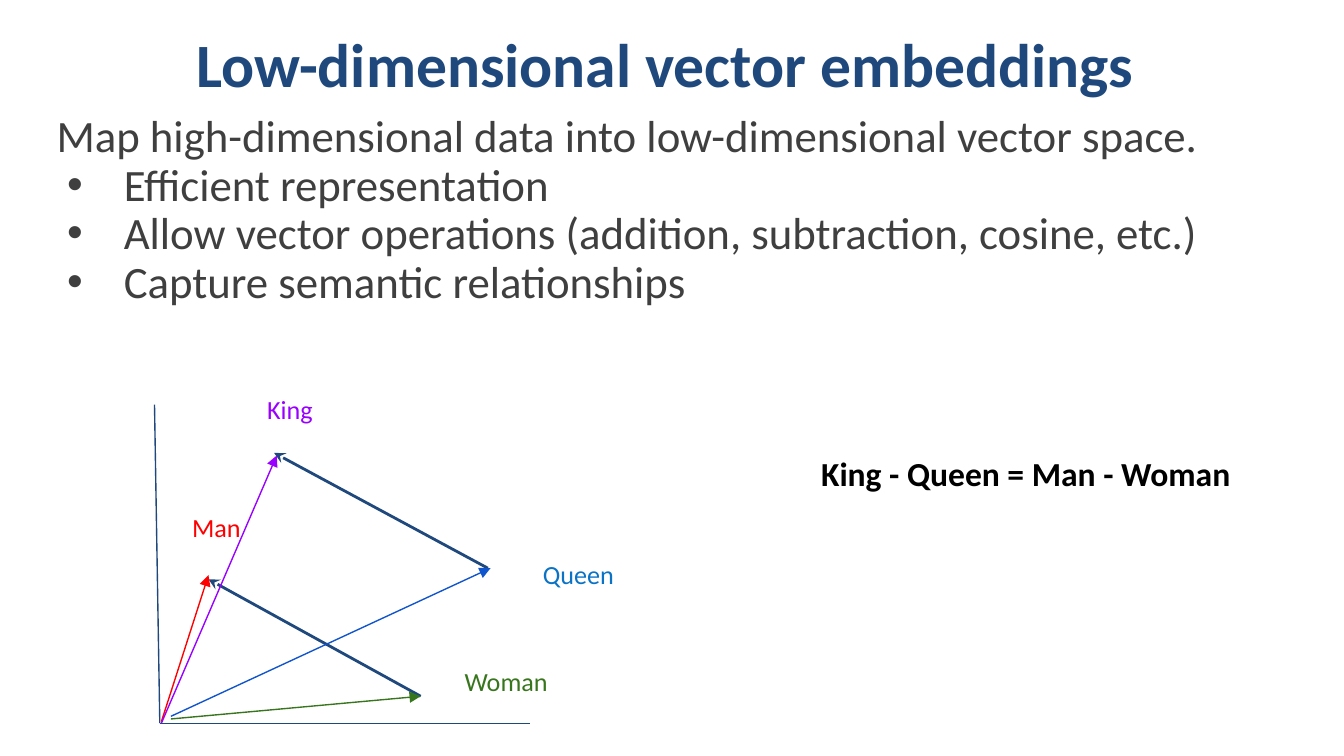
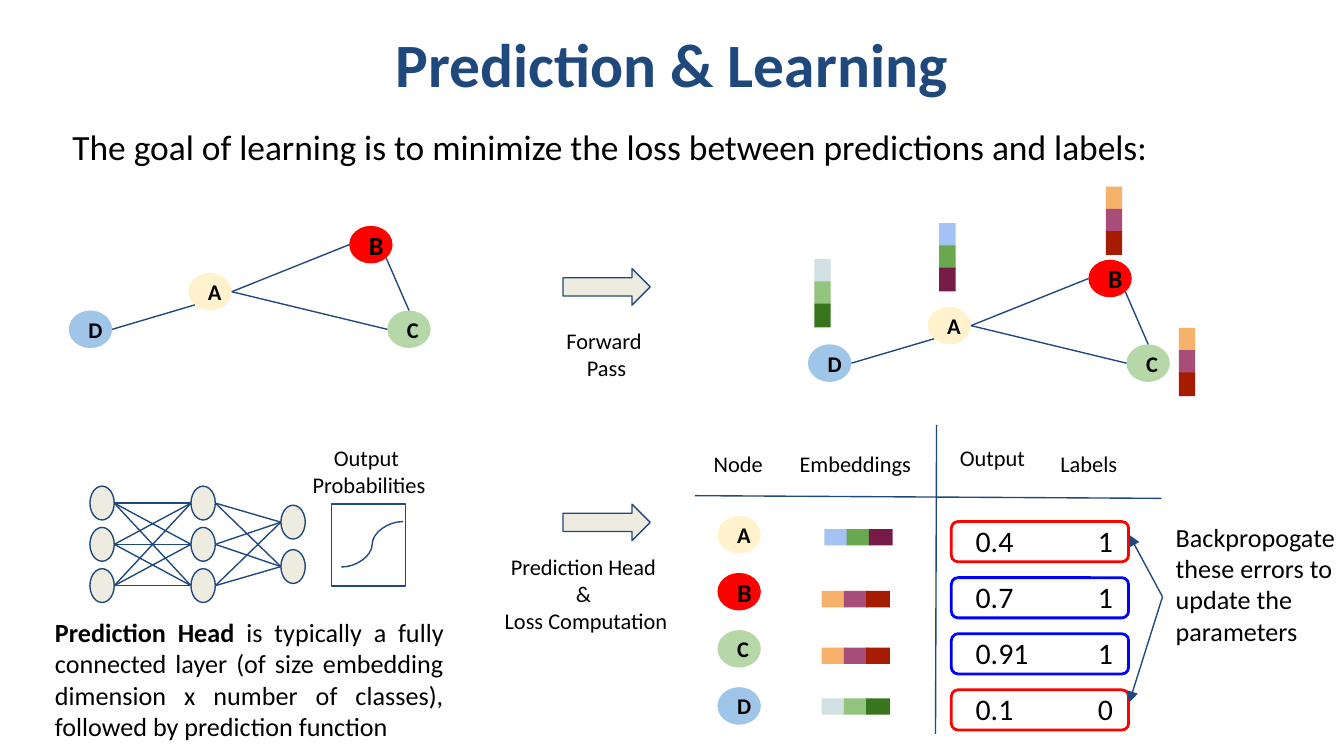
from dataclasses import dataclass
from itertools import product

from lxml.etree import SubElement
from pptx import Presentation
from pptx.dml.color import RGBColor
from pptx.enum.shapes import MSO_CONNECTOR as Link, MSO_SHAPE as Kind
from pptx.enum.text import MSO_ANCHOR as Anchor, PP_ALIGN as Align
from pptx.oxml.ns import qn
from pptx.util import Cm, Pt


@dataclass(frozen=True)
class Theme:
    font: str = "Calibri"
    navy: str = "1F497D"
    gray: str = "3F3F3F"
    black: str = "000000"
    cream: str = "EEECE1"
    red: str = "FF0000"
    blue: str = "0000FF"
    purple: str = "9900FF"
    green: str = "38761D"
    sky: str = "0A73C6"
    royal: str = "1155CC"
    head: int = 33
    body: int = 24
    lead: int = 19
    sum: int = 18
    value: int = 16
    note: int = 14
    label: int = 12
    thin: float = 0.75
    thick: float = 1.5


T = Theme()
NODES = {"A": "FFF2CC", "B": T.red, "C": "B6D7A8", "D": "9FC5E8"}
WARM = ["F6B26B", "A64D79", "A61C00"]
VECTORS = {
    "A": ["A4C2F4", "6AA84F", "741B47"],
    "B": WARM,
    "C": WARM,
    "D": ["D0E0E3", "93C47D", T.green],
}
NODE = (0.82, 0.71)
UNIT = (0.46, 0.64)
CELL = (0.31, 0.45)
STEP = 0.42
LOW = 0.15  # share of an oval's box where its diagonal meets the rim


def rgb(code):
    return RGBColor.from_string(code)


def rim(spot, size, across, down):
    """Point at a share of the width and height of a box."""
    return spot[0] + across * size[0], spot[1] + down * size[1]


def bullet(para, color):
    props = para._p.get_or_add_pPr()
    props.set("marL", str(Cm(1.27)))
    props.set("indent", str(Cm(-1.07)))
    tint = SubElement(props, qn("a:buClr"))
    SubElement(tint, qn("a:srgbClr"), val=color)
    SubElement(props, qn("a:buFont"), typeface="Arial")
    SubElement(props, qn("a:buChar"), char="•")


def write(frame, lines, size=T.label, color=T.black, bold=False,
          align=Align.LEFT, anchor=Anchor.TOP, pad=(0.25, 0.25),
          space=None, dots=False):
    """Fill a frame; a line is a string or a list of (string, bold) runs.

    With dots, every line after the first is a bullet.
    """
    frame.word_wrap = True
    frame.vertical_anchor = anchor
    frame.margin_left = frame.margin_right = Cm(pad[0])
    frame.margin_top = frame.margin_bottom = Cm(pad[1])
    lines = [lines] if isinstance(lines, str) else lines
    for i, line in enumerate(lines):
        para = frame.add_paragraph() if i else frame.paragraphs[0]
        para.alignment = align
        if space:
            para.line_spacing = space
        if dots and i:
            bullet(para, color)
        for words, heavy in [(line, bold)] if isinstance(line, str) else line:
            run = para.add_run()
            run.text = words
            font = run.font
            font.name, font.size, font.bold = T.font, Pt(size), heavy
            font.color.rgb = rgb(color)


class Deck:
    def __init__(self):
        self.show = Presentation()
        self.show.slide_width = Cm(25.4)
        self.show.slide_height = Cm(14.29)
        self.page = None

    def start(self, title):
        self.page = self.show.slides.add_slide(self.show.slide_layouts[6])
        self.text((1.27, 0), (22.86, 2.39), title, size=T.head, color=T.navy,
                  bold=True, align=Align.CENTER, anchor=Anchor.MIDDLE,
                  pad=(0.18, 0.1))

    def text(self, spot, size_cm, lines, **style):
        box = self.page.shapes.add_textbox(*map(Cm, (*spot, *size_cm)))
        write(box.text_frame, lines, **style)

    def shape(self, kind, spot, size, fill=None, line=None, width=T.thin):
        item = self.page.shapes.add_shape(kind, *map(Cm, (*spot, *size)))
        item.shadow.inherit = False
        if fill:
            item.fill.solid()
            item.fill.fore_color.rgb = rgb(fill)
        else:
            item.fill.background()
        if line:
            item.line.color.rgb = rgb(line)
            item.line.width = Pt(width)
        else:
            item.line.fill.background()
        return item

    def line(self, start, end, color=T.navy, width=T.thin, head=None,
             tail=None, kind=Link.STRAIGHT):
        item = self.page.shapes.add_connector(kind, *map(Cm, (*start, *end)))
        item.line.color.rgb = rgb(color)
        item.line.width = Pt(width)
        stroke = item.line._get_or_add_ln()
        for tag, tip in (("a:headEnd", head), ("a:tailEnd", tail)):
            if tip:
                SubElement(stroke, qn(tag), type=tip)
        SubElement(item._element.spPr, qn("a:effectLst"))

    def node(self, name, spot):
        item = self.shape(Kind.OVAL, spot, NODE, NODES[name])
        write(item.text_frame, name, bold=True, align=Align.CENTER,
              size=T.note if name == "B" else T.label, anchor=Anchor.MIDDLE)

    def graph(self, left, top):
        """Four linked nodes, placed from the left of D and the top of B."""
        spots = {"A": (left + 2.26, top + 0.89), "B": (left + 5.3, top),
                 "C": (left + 6.02, top + 1.6), "D": (left, top + 1.6)}
        for name, spot in spots.items():
            self.node(name, spot)
        for one, out, two, into in (
            ("A", (1, 0.5), "B", (0, 0.5)),
            ("B", (1 - LOW, 1 - LOW), "C", (0.5, 0)),
            ("A", (1, 0.5), "C", (0, 0.5)),
            ("D", (1, 0.5), "A", (LOW, 1 - LOW)),
        ):
            self.line(rim(spots[one], NODE, *out), rim(spots[two], NODE, *into))

    def strip(self, name, left, top, flat=False):
        """The embedding of a node, upright or lying flat."""
        for i, color in enumerate(VECTORS[name]):
            move = i * STEP
            spot = (left + move, top) if flat else (left, top + move)
            cell = self.shape(Kind.RECTANGLE, spot, CELL, color)
            cell.rotation = 270 if flat else 0

    def net(self):
        rows = [9.19 + 0.78 * i for i in range(3)]
        layers = [[(1.7, y) for y in rows], [(3.61, y) for y in rows],
                  [(5.31, 9.55), (5.31, 10.39)]]
        for spot in sum(layers, []):
            self.shape(Kind.OVAL, spot, UNIT, T.cream, T.navy)
        for near, far in zip(layers, layers[1:]):
            for one, two in product(near, far):
                self.line(rim(one, UNIT, 1, 0.5), rim(two, UNIT, 0, 0.5))


def embed(deck):
    deck.start("Low-dimensional vector embeddings ")
    deck.text((0.89, 2.06), (23.9, 4.22), [
        "Map high-dimensional data into low-dimensional vector space.",
        "Efficient representation",
        "Allow vector operations (addition, subtraction, cosine, etc.)",
        "Capture semantic relationships",
    ], size=T.body, color=T.gray, pad=(0.18, 0.1), space=0.9, dots=True)

    zero = (3.02, 13.67)
    deck.line((2.92, 7.65), zero)
    deck.line(zero, (10.01, 13.67))
    for start, end in (((5.18, 8.56), (9.22, 10.74)),
                       ((3.94, 10.95), (7.95, 13.16))):
        deck.line(start, end, width=T.thick, head="stealth")
    for start, end, color in (
        ((3.05, 13.64), (3.94, 10.87), T.red),
        ((3.05, 13.67), (5.23, 8.61), T.purple),
        ((3.23, 13.59), (7.95, 13.16), T.green),
        ((3.23, 13.54), (9.27, 10.74), T.royal),
    ):
        deck.line(start, end, color, tail="triangle")
    for word, spot, wide, color in (
        ("Queen", (10.01, 10.31), 1.9, T.sky),
        ("King", (4.8, 7.19), 2.72, T.purple),
        ("Man", (3.38, 9.42), 2.72, T.red),
        ("Woman", (8.53, 12.32), 2.72, T.green),
    ):
        deck.text(spot, (wide, 1.12), word, size=T.note, color=color)
    deck.text((15.27, 8.31), (8.43, 1.24), "King - Queen = Man - Woman",
              size=T.sum, bold=True)


def scores(deck):
    """Table of nodes, embeddings, outputs and labels."""
    for word, spot, wide, align in (
        ("Node", (11.86, 8.26), 4.19, Align.CENTER),
        ("Embeddings", (14.07, 8.26), 4.19, Align.CENTER),
        ("Output ", (16.71, 8.15), 4.19, Align.CENTER),
        ("Labels", (19.79, 8.26), 1.65, Align.LEFT),
    ):
        deck.text(spot, (wide, 0.97), word, align=align)
    deck.line((13.13, 9.37), (21.95, 9.42))
    deck.line((17.7, 8.03), (17.68, 13.87))
    for i, (name, guess, label, color, left, top) in enumerate((
        ("A", "0.4", "1", T.red, 15.65, 9.93),
        ("B", "0.7", "1", T.blue, 15.6, 11.1),
        ("C", "0.91", "1", T.blue, 15.6, 12.17),
        ("D", "0.1", "0", T.red, 15.6, 13.13),
    )):
        drop = 1.06 * i
        deck.node(name, (13.56, 9.75 + 1.08 * i))
        deck.strip(name, left, top, flat=True)
        deck.shape(Kind.ROUNDED_RECTANGLE, (17.98, 9.86 + drop), (3.35, 0.76),
                   line=color, width=T.thick)
        deck.text((18.19, 9.63 + drop), (2.24, 0.97), guess, size=T.value)
        deck.text((20.5, 9.63 + drop), (0.85, 0.97), label, size=T.value)


def learn(deck):
    deck.start("Prediction & Learning")
    deck.text((1.12, 2.11), (22.78, 1.83),
              "The goal of learning is to minimize the loss between "
              "predictions and labels:", size=T.lead)
    deck.graph(1.3, 4.27)
    deck.graph(15.27, 4.91)
    for name, left, top in (("D", 15.39, 4.9), ("A", 17.75, 4.22),
                            ("B", 20.9, 3.53), ("C", 22.28, 6.2)):
        deck.strip(name, left, top)

    for top in (5.08, 9.53):
        deck.shape(Kind.RIGHT_ARROW, (10.64, top), (1.65, 0.69),
                   T.cream, T.navy)
    deck.text((10.13, 5.94), (2.67, 0.69), ["Forward ", "Pass"],
              align=Align.CENTER)
    deck.text((8.74, 10.87), (4.67, 0.69),
              ["Prediction Head ", "& ", "Loss Computation"],
              align=Align.CENTER, anchor=Anchor.MIDDLE)

    deck.net()
    deck.shape(Kind.RECTANGLE, (6.27, 9.53), (1.4, 1.55), line=T.navy)
    deck.line((6.45, 10.72), (7.62, 9.86), kind=Link.CURVE)
    deck.text((4.88, 8.15), (4.19, 0.97), ["Output ", "Probabilities"],
              align=Align.CENTER)
    deck.text((0.79, 11.4), (7.85, 1.57), [[
        ("Prediction Head ", True),
        ("is typically a fully connected layer (of size embedding dimension "
         "x number of classes), followed by prediction function", False),
    ]], size=T.note, align=Align.JUSTIFY)

    scores(deck)
    for end in ((21.34, 10.11), (21.34, 13.28)):
        deck.line((21.97, 11.28), end, tail="triangle")
    deck.text((21.97, 9.6), (3.66, 3.38),
              "Backpropogate these errors to update the parameters",
              size=T.note)


def main():
    deck = Deck()
    embed(deck)
    learn(deck)
    deck.show.save("out.pptx")


if __name__ == "__main__":
    main()
